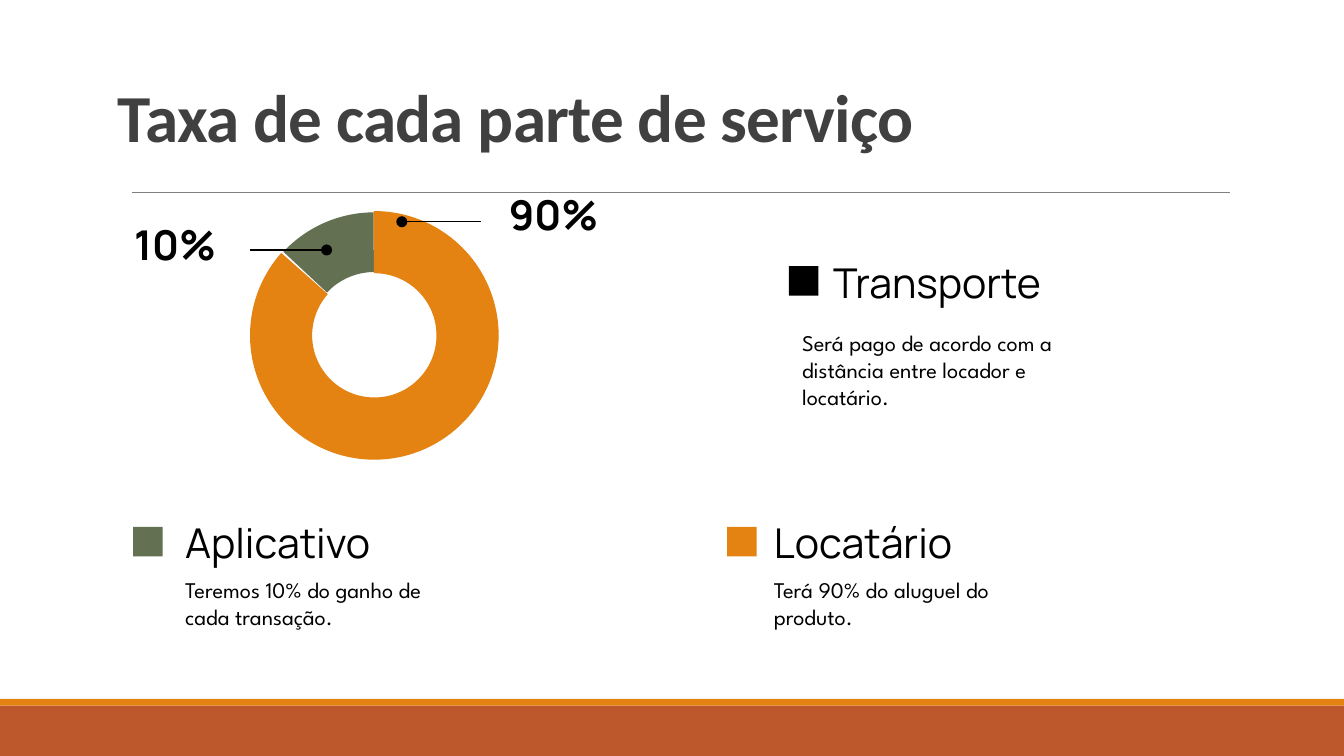
from lxml.etree import SubElement
from pptx import Presentation
from pptx.dml.color import RGBColor
from pptx.enum.shapes import MSO_CONNECTOR, MSO_SHAPE
from pptx.enum.text import MSO_ANCHOR, PP_ALIGN
from pptx.oxml.ns import qn
from pptx.util import Inches, Pt

GREEN, ORANGE, RUST, BLACK = "637052", "E48312", "BD582C", "000000"
TITLE = {"name": "Calibri", "size": Pt(36), "bold": True}
HEADING = {"name": "Manrope", "size": Pt(22), "bold": False}
PERCENT = {**HEADING, "bold": True}
BODY = {"name": "League Spartan", "size": Pt(12)}


def rgb(value):
    return RGBColor.from_string(value)


def add_filled(s, kind, box, color):
    sp = s.shapes.add_shape(kind, *map(Inches, box))
    sp.shadow.inherit = False
    sp.fill.solid()
    sp.fill.fore_color.rgb = rgb(color)
    sp.line.fill.background()
    return sp


def add_arc(s, box, start, end, thickness, color, rotation=0):
    """Add a mirrored ring segment; start and end are degrees."""
    sp = add_filled(s, MSO_SHAPE.BLOCK_ARC, box, color)
    # Angles are 60000ths of a degree, adjustments are 100000ths.
    for i, value in enumerate((start * 0.6, end * 0.6, thickness)):
        sp.adjustments[i] = value
    sp.rotation = rotation
    sp._element.spPr.find(qn("a:xfrm")).set("flipH", "1")


def add_line(s, start, end, color, width, dot=False):
    line = s.shapes.add_connector(MSO_CONNECTOR.STRAIGHT, *map(Inches, start + end))
    line.line.color.rgb = rgb(color)
    line.line.width = Pt(width)
    if dot:
        SubElement(line.line._get_or_add_ln(), qn("a:tailEnd"), type="oval")
    SubElement(line._element.spPr, qn("a:effectLst"))


def add_text(s, box, text, style, color=BLACK, anchor=MSO_ANCHOR.TOP,
             align=PP_ALIGN.LEFT, bottom=0.1):
    tf = s.shapes.add_textbox(*map(Inches, box)).text_frame
    frame = {"word_wrap": True, "vertical_anchor": anchor,
             "margin_left": Inches(0.1), "margin_right": Inches(0.1),
             "margin_top": Inches(0.1), "margin_bottom": Inches(bottom)}
    for name, value in frame.items():
        setattr(tf, name, value)
    p = tf.paragraphs[0]
    p.alignment = align
    r = p.add_run()
    r.text = text
    for name, value in style.items():
        setattr(r.font, name, value)
    r.font.color.rgb = rgb(color)
    return r


def add_label(s, box, text, style, align=PP_ALIGN.LEFT):
    add_text(s, box, text, style, anchor=MSO_ANCHOR.BOTTOM, align=align, bottom=0.08)


def add_frame(s):
    add_filled(s, MSO_SHAPE.RECTANGLE, (0, 5.25, 10, 0.38), RUST)
    add_filled(s, MSO_SHAPE.RECTANGLE, (0, 5.2, 10, 0.05), ORANGE)
    add_line(s, (0.98, 1.43), (9.15, 1.43), "808080", 0.5)
    r = add_text(s, (0.78, 0.46, 8.44, 0.63), "Taxa de cada parte de serviço",
                 TITLE, "404040")
    r._r.get_or_add_rPr().set("spc", "-40")


def add_ring(s):
    add_arc(s, (1.86, 1.58, 1.85, 1.85), 270.33, 316.95, 0.24, GREEN)
    add_arc(s, (1.86, 1.57, 1.85, 1.85), 138.45, 90.35, 0.25, ORANGE, rotation=180)
    add_label(s, (0.9, 1.65, 0.97, 0.43), "10%", PERCENT)
    add_label(s, (3.58, 1.43, 0.97, 0.43), "90%", PERCENT, PP_ALIGN.RIGHT)
    add_line(s, (1.86, 1.86), (2.43, 1.86), BLACK, 0.75, dot=True)
    add_line(s, (3.58, 1.65), (2.99, 1.65), BLACK, 0.75, dot=True)


def add_legend(s, top, square_left, heading_box, heading, body_box, body, color):
    add_filled(s, MSO_SHAPE.RECTANGLE, (square_left, top + 0.05, 0.22, 0.22), color)
    add_label(s, heading_box, heading, HEADING)
    add_text(s, body_box, body, BODY)


def main():
    prs = Presentation()
    prs.slide_width = Inches(10)
    prs.slide_height = prs.slide_width * 9 // 16
    s = prs.slides.add_slide(prs.slide_layouts[6])
    add_frame(s)
    add_ring(s)
    add_legend(s, 3.87, 0.99, (1.28, 3.87, 1.72, 0.43), "Aplicativo",
               (1.28, 4.19, 2.17, 0.73),
               "Teremos 10% do ganho de cada transação.", GREEN)
    add_legend(s, 3.87, 5.41, (5.66, 3.87, 1.75, 0.43), "Locatário",
               (5.66, 4.19, 2.01, 0.73),
               "Terá 90% do aluguel do produto.", ORANGE)
    add_legend(s, 1.93, 5.87, (6.1, 1.93, 1.9, 0.43), "Transporte",
               (5.87, 2.35, 2.33, 0.73),
               "Será pago de acordo com a distância entre locador e locatário.", BLACK)
    prs.save("out.pptx")


if __name__ == "__main__":
    main()
